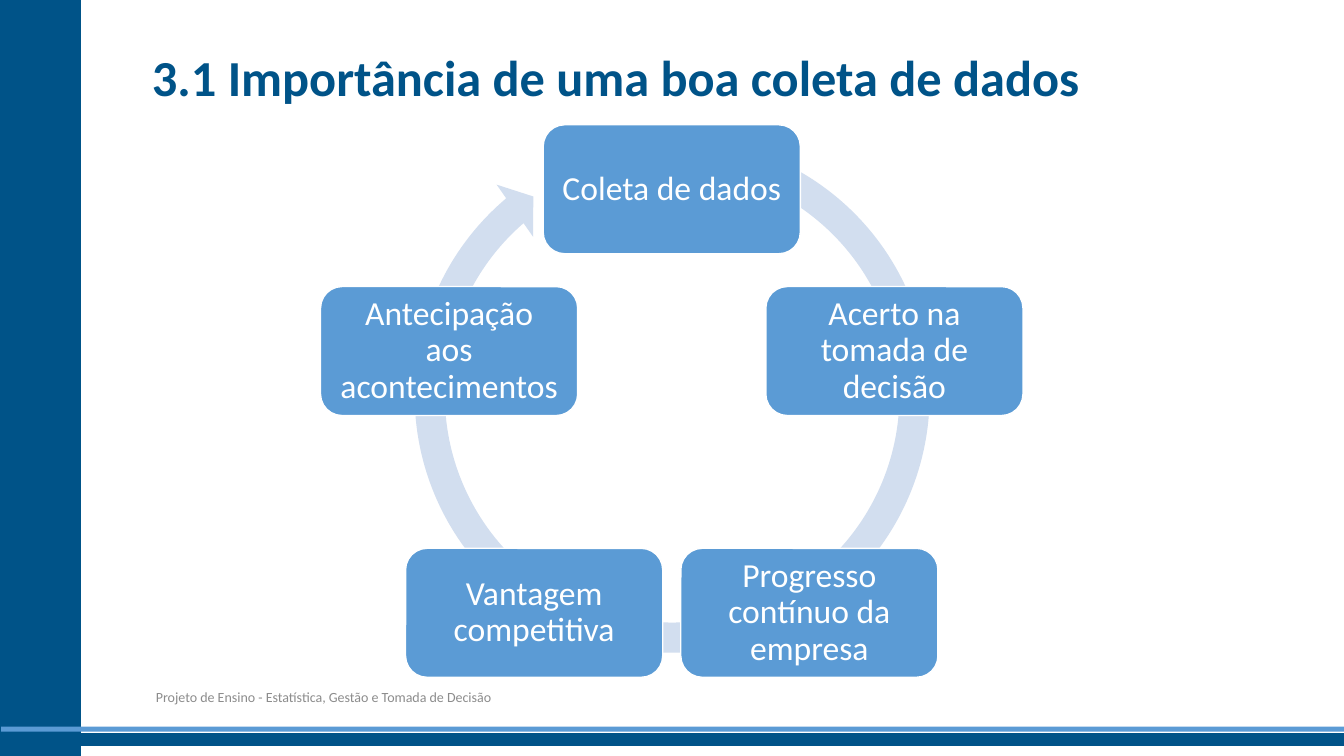
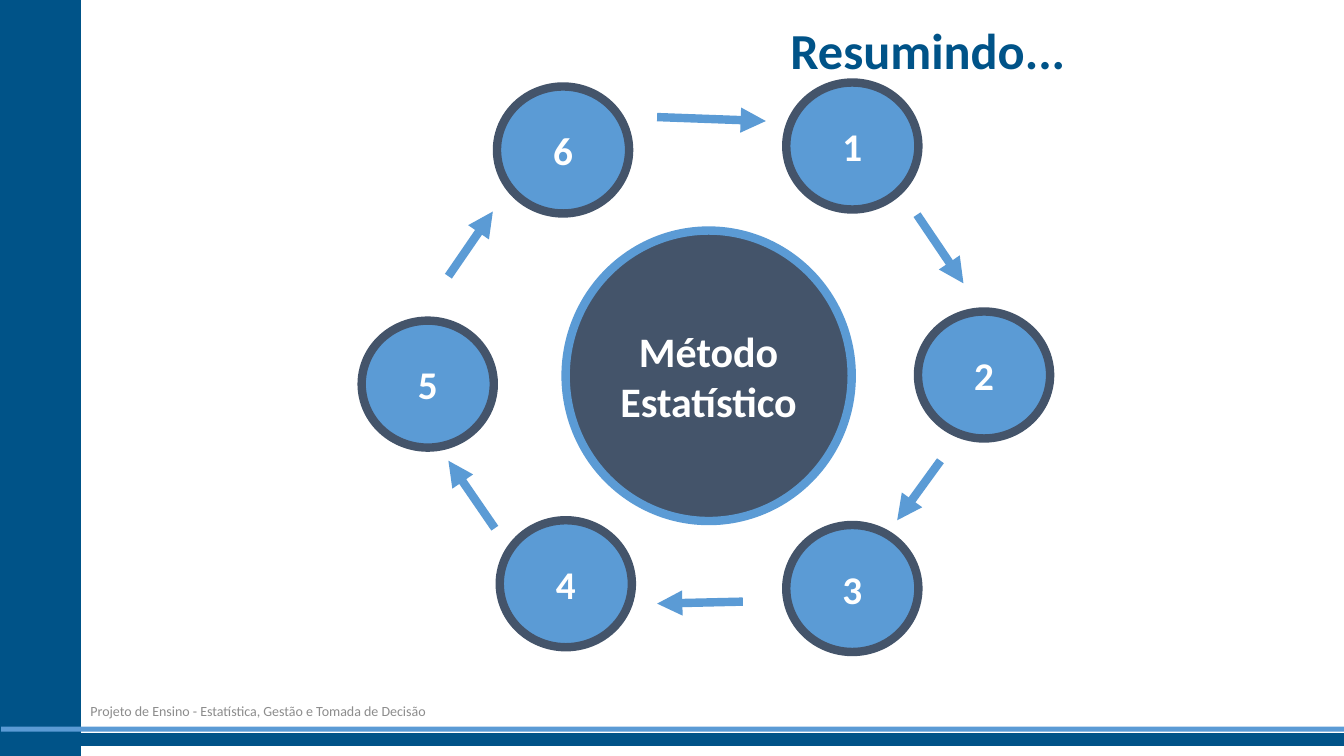
import math

from pptx import Presentation
from pptx.dml.color import RGBColor
from pptx.enum import shapes, text
from pptx.oxml.ns import qn
from pptx.util import Cm, Pt
from lxml import etree

NAVY = RGBColor(0x00, 0x53, 0x88)
BLUE = RGBColor(0x5B, 0x9B, 0xD5)
PALE = RGBColor(0xD2, 0xDE, 0xEF)
SLATE = RGBColor(0x44, 0x54, 0x6A)
GRAY = RGBColor(0x8C, 0x8C, 0x8C)
WHITE = RGBColor(0xFF, 0xFF, 0xFF)
FONT = "Calibri"
SHAPE = shapes.MSO_SHAPE
ALIGN = text.PP_ALIGN

# Content, with lengths in cm
SLIDE_SIZE = (33.87, 19.05)
FOOTER = "Projeto de Ensino - Estatística, Gestão e Tomada de Decisão"
BANDS = [  # box, fill, outline width
    ((0, 0, 2.03, 19.05), NAVY, 1),
    ((0, 18.49, 33.87, 0.3), NAVY, 1),
    ((0.03, 18.31, 33.84, 0.13), BLUE, 0),
]

COLLECTION_TITLE = "3.1 Importância de uma boa coleta de dados"
COLLECTION_STEPS = [
    "Coleta de dados",
    "Acerto na tomada de decisão",
    "Progresso contínuo da empresa",
    "Vantagem competitiva",
    "Antecipação aos acontecimentos",
]
CYCLE_CENTER, CYCLE_RADIUS = (16.93, 10.67), 5.9
STEP_SIZE = (6.48, 3.25)
CYCLE_ARROW_BOX = (10.03, 3.05, 13.82, 13.82)
CYCLE_ARROW_ADJUSTMENTS = (0.055, 3.307, 137.729, 173.878, 0.058)

SUMMARY_TITLE = "Resumindo..."
METHOD = "Método Estatístico"
METHOD_CENTER, METHOD_SIZE = (17.86, 9.47), (7.21, 7.32)
PHASE_SIZE = (3.33, 3.2)
PHASE_CENTERS = [(21.48, 3.68), (24.8, 9.45), (21.48, 14.83),
                 (14.26, 14.71), (10.78, 9.68), (14.19, 3.78)]
PHASE_ARROWS = [  # from each phase to the next
    (23.11, 5.41, 24.28, 7.14), (23.7, 11.61, 22.61, 13.11),
    (18.72, 15.16, 16.56, 15.21), (12.47, 13.31, 11.3, 11.61),
    (11.3, 6.96, 12.42, 5.33), (16.56, 2.95, 19.3, 3.05),
]


def write(holder, words, size=24, color=WHITE, bold=False, align=ALIGN.CENTER,
          inset=0.25, spacing=1.0):
    frame = holder.text_frame
    frame.word_wrap = True
    frame.auto_size = text.MSO_AUTO_SIZE.NONE
    frame.vertical_anchor = text.MSO_ANCHOR.MIDDLE
    frame.margin_left = frame.margin_right = Cm(inset)
    frame.margin_top = frame.margin_bottom = Cm(0.13)
    line = frame.paragraphs[0]
    line.alignment, line.line_spacing = align, spacing
    run = line.add_run()
    run.text = words
    run.font.name, run.font.size, run.font.bold = FONT, Pt(size), bold
    run.font.color.rgb = color


def draw(slide, kind, box, fill, outline=None, width=0):
    shape = slide.shapes.add_shape(kind, *map(Cm, box))
    shape.shadow.inherit = False
    shape.fill.solid()
    shape.fill.fore_color.rgb = fill
    if width:
        shape.line.color.rgb = outline
        shape.line.width = Pt(width)
    else:
        shape.line.fill.background()
    return shape


def centered(center, size):
    return (center[0] - size[0] / 2, center[1] - size[1] / 2, *size)


def draw_arrow(slide, ends):
    arrow = slide.shapes.add_connector(shapes.MSO_CONNECTOR.STRAIGHT, *map(Cm, ends))
    arrow.line.color.rgb = BLUE
    arrow.line.width = Pt(6)
    etree.SubElement(arrow.line._get_or_add_ln(), qn("a:tailEnd"), type="triangle")
    etree.SubElement(arrow._element.spPr, qn("a:effectLst"))


def start_slide(deck, title, title_at, title_align, footer_at):
    slide = deck.slides.add_slide(deck.slide_layouts[5])
    for box, fill, width in BANDS:
        draw(slide, SHAPE.RECTANGLE, box, fill, fill, width)
    heading = slide.shapes.title
    heading.left, heading.top = map(Cm, title_at)
    heading.width, heading.height = Cm(24.59), Cm(1.88)
    write(heading, title, size=36, color=NAVY, bold=True, align=title_align)
    footer = slide.shapes.add_textbox(*map(Cm, footer_at), Cm(29.24), Cm(1.02))
    write(footer, FOOTER, size=10, color=GRAY, align=ALIGN.LEFT)
    return slide


def build_collection(deck):
    slide = start_slide(deck, COLLECTION_TITLE, (3.58, 0.99), ALIGN.LEFT, (3.68, 17.04))
    ring = draw(slide, SHAPE.CIRCULAR_ARROW, CYCLE_ARROW_BOX, PALE)
    for index, value in enumerate(CYCLE_ARROW_ADJUSTMENTS):
        ring.adjustments[index] = value
    # Steps sit clockwise at equal angles, starting at the top
    for index, step in enumerate(COLLECTION_STEPS):
        angle = 2 * math.pi * index / len(COLLECTION_STEPS)
        center = (CYCLE_CENTER[0] + CYCLE_RADIUS * math.sin(angle),
                  CYCLE_CENTER[1] - CYCLE_RADIUS * math.cos(angle))
        card = draw(slide, SHAPE.ROUNDED_RECTANGLE, centered(center, STEP_SIZE),
                    BLUE, WHITE, 1)
        write(card, step, inset=0.3, spacing=0.9)


def build_summary(deck):
    slide = start_slide(deck, SUMMARY_TITLE, (2.51, 0.3), ALIGN.RIGHT, (2.03, 17.4))
    method = draw(slide, SHAPE.OVAL, centered(METHOD_CENTER, METHOD_SIZE), SLATE, BLUE, 6)
    write(method, METHOD, size=30, bold=True)
    for number, center in enumerate(PHASE_CENTERS, 1):
        phase = draw(slide, SHAPE.OVAL, centered(center, PHASE_SIZE), BLUE, SLATE, 6)
        write(phase, str(number), size=28, bold=True)
    for ends in PHASE_ARROWS:
        draw_arrow(slide, ends)


def main():
    deck = Presentation()
    deck.slide_width, deck.slide_height = map(Cm, SLIDE_SIZE)
    build_collection(deck)
    build_summary(deck)
    deck.save("out.pptx")


if __name__ == "__main__":
    main()
